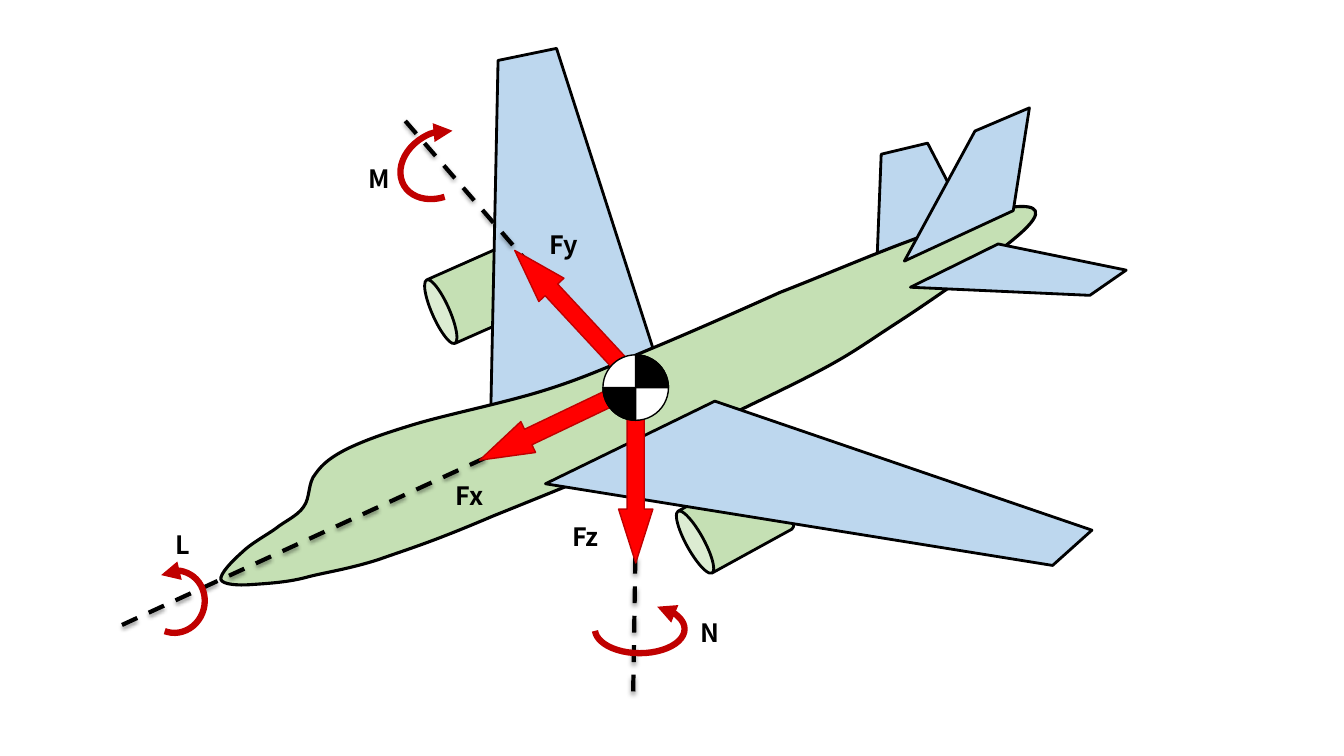
from lxml import etree
from pptx import Presentation
from pptx.dml.color import RGBColor
from pptx.enum.dml import MSO_LINE
from pptx.enum.shapes import MSO_CONNECTOR, MSO_SHAPE
from pptx.enum.text import MSO_AUTO_SIZE
from pptx.oxml.ns import qn
from pptx.util import Inches, Pt

STRAIGHT, DASH = MSO_CONNECTOR.STRAIGHT, MSO_LINE.DASH
CAN, ARROW, ARC = MSO_SHAPE.CAN, MSO_SHAPE.RIGHT_ARROW, MSO_SHAPE.ARC
OVAL, PIE = MSO_SHAPE.OVAL, MSO_SHAPE.PIE
FIT_SHAPE = MSO_AUTO_SIZE.SHAPE_TO_FIT_TEXT

THEME = {
    "font": "Noto Sans CJK JP", "label_size": 18,
    "body": "C5E0B4", "wing": "BDD7EE", "ink": "000000", "white": "FFFFFF",
    "force": "FF0000", "moment": "C00000",
    "outline": 2, "body_outline": 2.25, "axis_width": 3,
    "moment_width": 4.5, "thin": 1,
}

# Boxes are (left, top, width, height) in inches; angles are in degrees.
ENGINES = [((4.46, 2.34, 0.69, 1.12), 246.1), ((6.94, 4.62, 0.7, 1.08), 241.2)]
FAR_SURFACES = {
    "wing": [(4.94, 0.6), (5.52, 0.48), (6.51, 3.56), (4.86, 4.46)],
    "tailplane": [(8.74, 1.53), (9.2, 1.42), (9.65, 2.29), (8.7, 2.54)],
}
NEAR_SURFACES = {
    "tailplane": [(9.9, 2.42), (11.17, 2.68), (10.81, 2.93), (9.03, 2.85)],
    "fin": [(9.67, 1.3), (10.21, 1.07), (10.05, 2.09), (8.97, 2.59)],
    "wing": [(7.09, 3.98), (10.83, 5.26), (10.44, 5.61), (5.41, 4.8)],
}
FUSELAGE_WIDTH = 8.08
FUSELAGE_START = (3.76, 5.55)
FUSELAGE_CURVES = [  # two control points and the end of each curve
    ((3.45, 5.65), (3.21, 5.68), (3.03, 5.73)),
    ((2.84, 5.78), (2.63, 5.79), (2.49, 5.8)),
    ((2.36, 5.81), (2.21, 5.8), (2.19, 5.75)),
    ((2.18, 5.69), (2.31, 5.56), (2.4, 5.48)),
    ((2.49, 5.39), (2.66, 5.3), (2.74, 5.24)),
    ((2.81, 5.18), (2.95, 5.12), (3.01, 5.03)),
    ((3.08, 4.94), (3.05, 4.79), (3.13, 4.7)),
    ((3.2, 4.6), (3.29, 4.53), (3.45, 4.45)),
    ((3.62, 4.37), (3.78, 4.31), (4.11, 4.21)),
    ((4.44, 4.11), (5.04, 3.99), (5.44, 3.86)),
    ((5.85, 3.73), (6.14, 3.59), (6.53, 3.43)),
    ((6.91, 3.27), (7.34, 3.08), (7.74, 2.9)),
    ((8.15, 2.74), (8.57, 2.56), (8.94, 2.42)),
    ((9.32, 2.28), (9.79, 2.09), (10, 2.06)),
    ((10.21, 2.03), (10.38, 2.05), (10.19, 2.25)),
    ((10.01, 2.44), (9.32, 2.93), (8.87, 3.22)),
    ((8.41, 3.52), (8.38, 3.57), (7.46, 4.01)),
    ((6.54, 4.46), (5.51, 4.87), (4.89, 5.12)),
    ((4.28, 5.38), (4.07, 5.44), (3.76, 5.55)),
]

LABEL_SIZE = (0.66, 0.4)
LABELS = {
    "Fx": (4.42, 4.72), "Fy": (5.35, 2.23), "Fz": (5.58, 5.12),
    "L": (1.64, 5.2), "M": (3.56, 1.57), "N": (6.85, 6.08),
}
FORCE_SIZE = (1.79, 0.34)
AXES = [  # axis start, axis end, force arrow corner, force arrow rotation
    ((1.21, 6.2), (6.36, 3.83), (4.67, 4.01), 154.5),
    ((4.02, 1.2), (6.35, 3.89), (4.82, 2.97), 227.1),
    ((6.28, 6.86), (6.33, 3.79), (5.41, 4.52), 90),
]
MOMENTS = [  # box, rotation, start angle, end angle, end with the arrowhead
    ((3.95, 1.32, 0.81, 0.63), 329.4, 110.8, 322.09, "tailEnd"),
    ((1.45, 5.66, 0.58, 0.62), 14.7, 227.16, 95.33, "headEnd"),
    ((5.9, 6, 0.89, 0.48), 0, 308.17, 177.57, "headEnd"),
]
GRAVITY_CENTRE = (5.98, 3.52, 0.65, 0.65)


def color(key):
    """Return a theme colour."""
    return RGBColor.from_string(THEME[key])


def style(shape, fill, line="ink", width="outline"):
    """Set fill and outline from theme keys and drop the shadow."""
    shape.shadow.inherit = False
    if fill:
        shape.fill.solid()
        shape.fill.fore_color.rgb = color(fill)
    else:
        shape.fill.background()
    shape.line.color.rgb = color(line)
    shape.line.width = Pt(THEME[width])


def add_preset(slide, kind, box, rotation=0, adjustments=()):
    """Add a rotated preset shape with its adjustments."""
    shape = slide.shapes.add_shape(kind, *map(Inches, box))
    shape.rotation = rotation
    for index, value in enumerate(adjustments):
        shape.adjustments[index] = value
    return shape


def sweep(*degrees):
    """Turn angles into adjustment values (60000ths of a degree / 100000)."""
    return [angle * 0.6 for angle in degrees]


def add_outline(slide, points, fill, width="outline"):
    """Add a closed outline through points in inches."""
    start, *rest = [tuple(map(Inches, point)) for point in points]
    builder = slide.shapes.build_freeform(*start)
    builder.add_line_segments(rest, close=True)
    outline = builder.convert_to_shape()
    style(outline, fill, width=width)
    return outline


def add_fuselage(slide):
    """Add the fuselage, with its straight segments turned into curves."""
    ends = [curve[-1] for curve in FUSELAGE_CURVES]
    fuselage = add_outline(slide, [FUSELAGE_START] + ends, "body", "body_outline")
    outline = next(fuselage._element.iter(qn("a:path")))
    for segment, curve in zip(outline.findall(qn("a:lnTo")), FUSELAGE_CURVES):
        bezier = etree.Element(qn("a:cubicBezTo"))
        for x, y in curve:
            etree.SubElement(bezier, qn("a:pt"), x=str(Inches(x) - fuselage.left),
                             y=str(Inches(y) - fuselage.top))
        outline.replace(segment, bezier)
    fuselage.width = Inches(FUSELAGE_WIDTH)
    outline.set("w", str(fuselage.width))


def add_axis(slide, start, end):
    """Add a dashed axis with a soft shadow below it."""
    axis = slide.shapes.add_connector(STRAIGHT, *map(Inches, start + end))
    axis.line.color.rgb = color("ink")
    axis.line.width = Pt(THEME["axis_width"])
    axis.line.dash_style = DASH
    effects = etree.SubElement(axis._element.spPr, qn("a:effectLst"))
    shadow = etree.SubElement(
        effects, qn("a:outerShdw"), blurRad=str(Pt(3.1)), dist=str(Pt(1.6)),
        dir="5400000", rotWithShape="0")
    tint = etree.SubElement(shadow, qn("a:srgbClr"), val=THEME["ink"])
    etree.SubElement(tint, qn("a:alpha"), val="38000")


def add_moment(slide, box, rotation, start, end, arrow_end):
    """Add a curved moment arrow."""
    arc = add_preset(slide, ARC, box, rotation, sweep(start, end))
    style(arc, None, "moment", "moment_width")
    etree.SubElement(arc.line._get_or_add_ln(), qn("a:" + arrow_end), type="triangle")


def add_label(slide, text, corner):
    """Add a bold axis label."""
    label = slide.shapes.add_textbox(*map(Inches, corner + LABEL_SIZE))
    frame = label.text_frame
    frame.word_wrap = True
    frame.auto_size = FIT_SHAPE
    frame.text = text
    font = frame.paragraphs[0].font
    font.name, font.size, font.bold = THEME["font"], Pt(THEME["label_size"]), True
    font.color.rgb = color("ink")


def add_aircraft(slide):
    """Draw the aircraft from back to front."""
    for box, rotation in ENGINES:
        style(add_preset(slide, CAN, box, rotation), "body")
    for points in FAR_SURFACES.values():
        add_outline(slide, points, "wing")
    add_fuselage(slide)
    for points in NEAR_SURFACES.values():
        add_outline(slide, points, "wing")


def add_gravity_centre(slide):
    """Draw the quartered centre-of-gravity mark."""
    style(add_preset(slide, OVAL, GRAVITY_CENTRE), "white", width="thin")
    for rotation in (0, 180):
        quarter = add_preset(slide, PIE, GRAVITY_CENTRE, rotation, sweep(270, 0))
        style(quarter, "ink", width="thin")


prs = Presentation()
prs.slide_width, prs.slide_height = Inches(13.33), Inches(7.5)
slide = prs.slides.add_slide(prs.slide_layouts[6])
add_aircraft(slide)
for text, corner in LABELS.items():
    add_label(slide, text, corner)
for start, end, corner, rotation in AXES:
    add_axis(slide, start, end)
    force = add_preset(slide, ARROW, corner + FORCE_SIZE, rotation, (0.5, 1.57))
    style(force, "force", "moment", "thin")
for moment in MOMENTS:
    add_moment(slide, *moment)
add_gravity_centre(slide)
prs.save("out.pptx")
